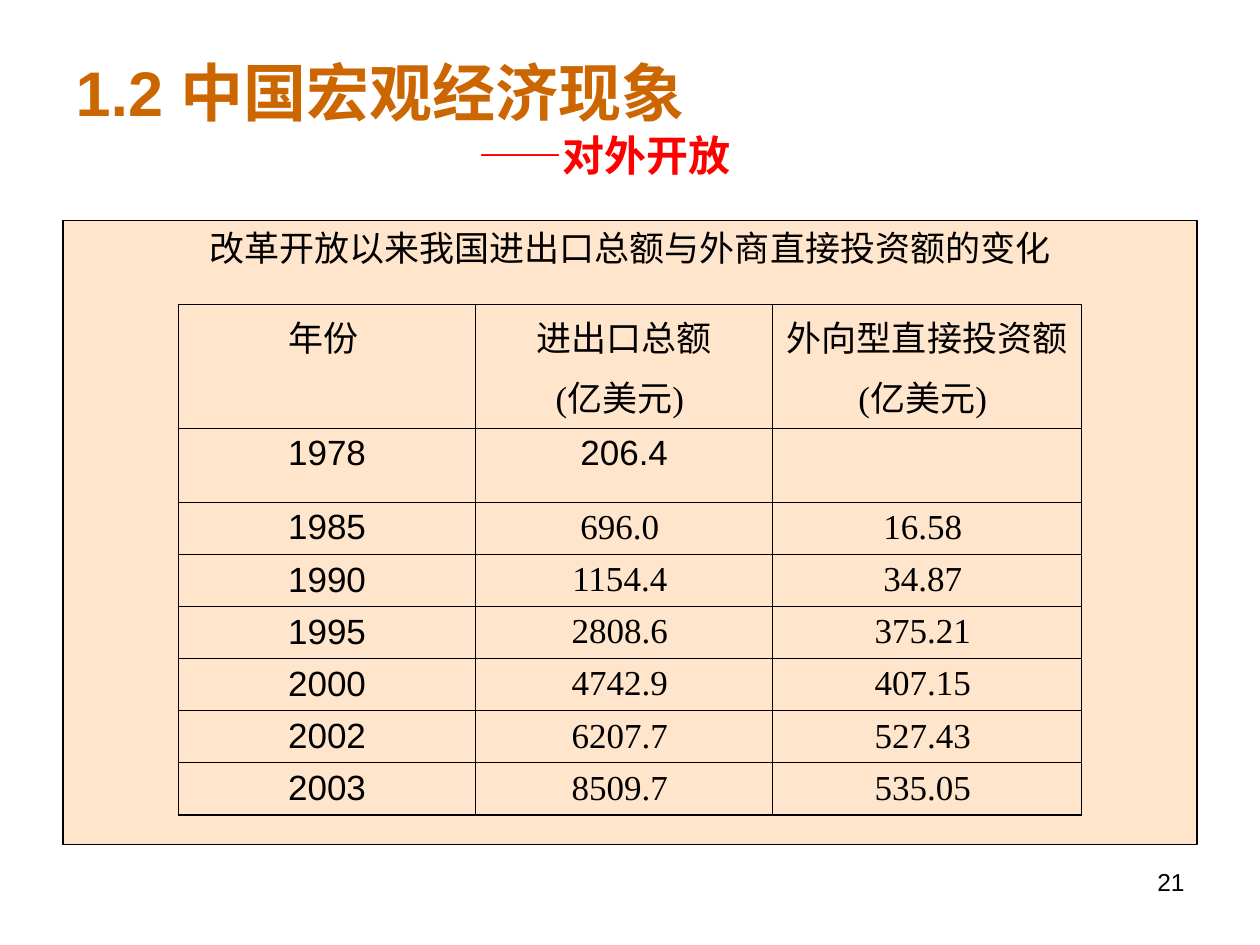
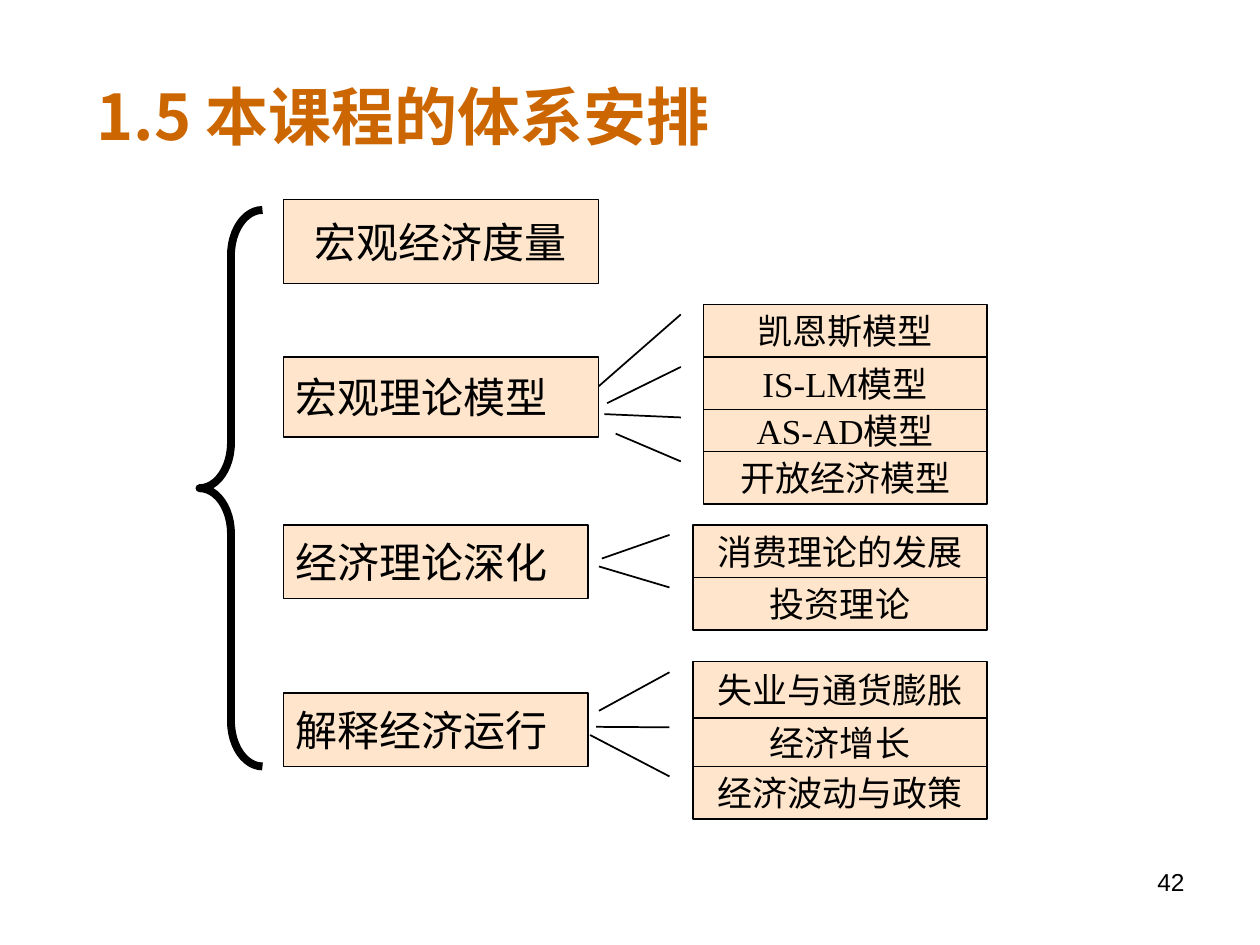
import pptx
import pptx.dml.color
import pptx.enum.shapes
import pptx.enum.text
import pptx.oxml
import pptx.oxml.ns
import pptx.util

COLORS = {"title": "CC6600", "accent": "FF0000", "ink": "000000", "panel": "FFCC99"}
CJK, SANS, SERIF = "Noto Sans CJK SC", "Arial", "Times New Roman"
COLUMNS, ROWS = 120, 90
WIDTH, HEIGHT = pptx.util.Inches(10), pptx.util.Inches(7.5)
ALIGN = pptx.enum.text.PP_ALIGN
ANCHOR = pptx.enum.text.MSO_ANCHOR
SHAPE = pptx.enum.shapes.MSO_SHAPE
NAMESPACE = pptx.oxml.ns.nsdecls("a")

TRADE = [
    ("1978", "206.4", ""),
    ("1985", "696.0 ", "16.58 "),
    ("1990", "1154.4 ", "34.87 "),
    ("1995", "2808.6 ", "375.21 "),
    ("2000", "4742.9 ", "407.15 "),
    ("2002", "6207.7 ", "527.43 "),
    ("2003", "8509.7 ", "535.05 "),
]
UNIT = [("(", SERIF), ("亿美元", CJK), (") ", SERIF)]
HEADERS = [
    [[("年份 ", CJK)]],
    [[("进出口总额", CJK)], UNIT],
    [[("外向型直接投资额", CJK)], UNIT],
]

PARTS = [
    ("宏观经济度量", 19, 30, 8, ALIGN.CENTER),
    ("宏观理论模型", 34, 30, 7.6, ALIGN.LEFT),
    ("经济理论深化", 50, 29, 7, ALIGN.LEFT),
    ("解释经济运行", 66, 29, 7, ALIGN.LEFT),
]
TOPIC_STACKS = [
    (67, 29, 27, [
        ("凯恩斯模型", 5, 1.56, -0.37),
        ("IS-LM模型", 5, 0.88, -0.34),
        ("AS-AD模型", 4, 0.11, -0.35),
        ("开放经济模型", 5, -0.34, -0.31),
    ]),
    (66, 50, 28, [
        ("消费理论的发展", 5, 0.64, -0.31),
        ("投资理论", 5, -0.21, -0.32),
    ]),
    (66, 63, 28, [
        ("失业与通货膨胀", 5.4, 0.87, -0.32),
        ("经济增长", 4.6, 0.18, -0.33),
        ("经济波动与政策", 5, -0.6, -0.35),
    ]),
]


def across(columns):
    return round(WIDTH * columns / COLUMNS)


def down(rows):
    return round(HEIGHT * rows / ROWS)


def area(left, top, width, height):
    return across(left), down(top), across(width), down(height)


def color(name):
    return pptx.dml.color.RGBColor.from_string(COLORS[name])


def add_span(para, text, font, size, ink="ink", bold=False):
    span = para.add_run()
    span.text = text
    span.font.name = font
    span.font.size = pptx.util.Pt(size)
    span.font.bold = bold
    span.font.color.rgb = color(ink)
    east = font if text.isascii() else CJK
    latin = span.font._element.find(pptx.oxml.ns.qn("a:latin"))
    latin.addnext(pptx.oxml.parse_xml(f'<a:ea {NAMESPACE} typeface="{east}"/>'))


def place(box, bounds):
    box.left, box.top, box.width, box.height = area(*bounds)


def paint_panel(box, line_width):
    box.fill.solid()
    box.fill.fore_color.rgb = color("panel")
    tint = box.fill._xPr.find(pptx.oxml.ns.qn("a:solidFill"))[0]
    tint.append(pptx.oxml.parse_xml(f'<a:alpha {NAMESPACE} val="50000"/>'))
    box.line.color.rgb = color("ink")
    box.line.width = pptx.util.Pt(line_width)


def add_title(page, bounds, spans):
    title = page.shapes.title
    place(title, bounds)
    frame = title.text_frame
    frame.auto_size = pptx.enum.text.MSO_AUTO_SIZE.NONE
    frame.vertical_anchor = ANCHOR.MIDDLE
    para = frame.paragraphs[0]
    para.alignment = ALIGN.LEFT
    for text, font in spans:
        add_span(para, text, font, 36, "title", True)
    return frame


def add_subtitle(frame, text, indent):
    para = frame.add_paragraph()
    para.alignment = ALIGN.LEFT
    para._p.get_or_add_pPr().set("marL", str(across(indent)))
    add_span(para, text, CJK, 24, "accent", True)


def add_page_number(page, number):
    box = page.shapes.add_textbox(*area(86, 82, 28, 6.2))
    box.text_frame.word_wrap = True
    para = box.text_frame.paragraphs[0]
    para.alignment = ALIGN.RIGHT
    add_span(para, number, SANS, 14)


def add_caption_panel(page, bounds, text):
    panel = page.placeholders[1]
    place(panel, bounds)
    paint_panel(panel, 0.75)
    panel.text_frame.auto_size = pptx.enum.text.MSO_AUTO_SIZE.NONE
    para = panel.text_frame.paragraphs[0]
    para.alignment = ALIGN.CENTER
    para.space_before = pptx.util.Pt(0)
    properties = para._p.get_or_add_pPr()
    properties.set("marL", "0")
    properties.set("indent", "0")
    properties.append(pptx.oxml.parse_xml(f"<a:buNone {NAMESPACE}/>"))
    add_span(para, text, SANS, 20)


def set_borders(cell, outer_sides):
    properties = cell._tc.get_or_add_tcPr()
    for position, side in enumerate("LRTB"):
        width = pptx.util.Pt(1.08 if side in outer_sides else 0.45)
        properties.insert(position, pptx.oxml.parse_xml(
            f'<a:ln{side} {NAMESPACE} w="{width}"><a:solidFill>'
            f'<a:srgbClr val="{COLORS["ink"]}"/></a:solidFill></a:ln{side}>'))


def fill_cell(cell, lines):
    frame = cell.text_frame
    for index, spans in enumerate(lines):
        para = frame.add_paragraph() if index else frame.paragraphs[0]
        para.alignment = ALIGN.CENTER
        if index:
            para.space_before = pptx.util.Pt(5)
        for text, font in spans:
            add_span(para, text, font, 20)


def trade_lines(row):
    year, trade, investment = row
    trade_font = SANS if year == "1978" else SERIF
    fonts = SANS, trade_font, SERIF
    return [[[(text, font)]] if text else []
            for text, font in zip((year, trade, investment), fonts)]


def add_trade_table(page, left, top, widths, heights):
    bounds = area(left, top, sum(widths), sum(heights))
    table = page.shapes.add_table(len(heights), len(widths), *bounds).table
    table.first_row = False
    table.horz_banding = False
    for column, width in zip(table.columns, widths):
        column.width = across(width)
    for row, height in zip(table.rows, heights):
        row.height = down(height)
    grid = [HEADERS] + [trade_lines(row) for row in TRADE]
    for row, cells in enumerate(grid):
        for column, lines in enumerate(cells):
            cell = table.cell(row, column)
            cell.fill.background()
            edges = {"L": column == 0, "R": column == len(widths) - 1,
                     "T": row == 0, "B": row == len(heights) - 1}
            set_borders(cell, [side for side, outer in edges.items() if outer])
            fill_cell(cell, lines)


def add_label(page, kind, bounds, text, font, size, align, wrap):
    box = page.shapes.add_shape(kind, *area(*bounds))
    box.shadow.inherit = False
    paint_panel(box, 1)
    frame = box.text_frame
    frame.word_wrap = wrap
    frame.vertical_anchor = ANCHOR.MIDDLE
    para = frame.paragraphs[0]
    para.alignment = align
    add_span(para, text, font, size)
    return box


def add_topic_stack(page, left, top, width, topics):
    for text, height, tip_down, tip_across in topics:
        callout = add_label(page, SHAPE.LINE_CALLOUT_1, (left, top, width, height),
                            text, SERIF, 20, ALIGN.CENTER, True)
        for index, value in enumerate((0.19, -0.08, tip_down, tip_across)):
            callout.adjustments[index] = value
        top += height


def add_brace(page, bounds):
    brace = page.shapes.add_shape(SHAPE.LEFT_BRACE, *area(*bounds))
    brace.shadow.inherit = False
    brace.adjustments[0] = 0.72
    brace.fill.background()
    brace.line.color.rgb = color("ink")
    brace.line.width = pptx.util.Pt(4.5)


def build_trade_page(deck):
    page = deck.slides.add_slide(deck.slide_layouts[1])
    frame = add_title(page, (6, 3.6, 108, 15),
                      [("1.2 ", SANS), ("中国宏观经济现象", CJK)])
    add_subtitle(frame, "——对外开放", 38.4)
    add_caption_panel(page, (6, 21, 108, 59.4),
                      "改革开放以来我国进出口总额与外商直接投资额的变化")
    add_trade_table(page, 17, 29, [28.3, 28.3, 29.4], [11.75, 7.05] + [4.97] * 6)
    add_page_number(page, "21")


def build_course_page(deck):
    page = deck.slides.add_slide(deck.slide_layouts[5])
    add_title(page, (8, 8, 104, 6), [("1.5 本课程的体系安排", CJK)])
    add_brace(page, (19, 20, 6, 53))
    for text, top, width, height, align in PARTS:
        add_label(page, SHAPE.RECTANGLE, (27, top, width, height),
                  text, CJK, 24, align, False)
    for stack in TOPIC_STACKS:
        add_topic_stack(page, *stack)
    add_page_number(page, "42")


def main():
    deck = pptx.Presentation()
    deck.slide_width, deck.slide_height = WIDTH, HEIGHT
    build_trade_page(deck)
    build_course_page(deck)
    deck.save("out.pptx")


if __name__ == "__main__":
    main()
